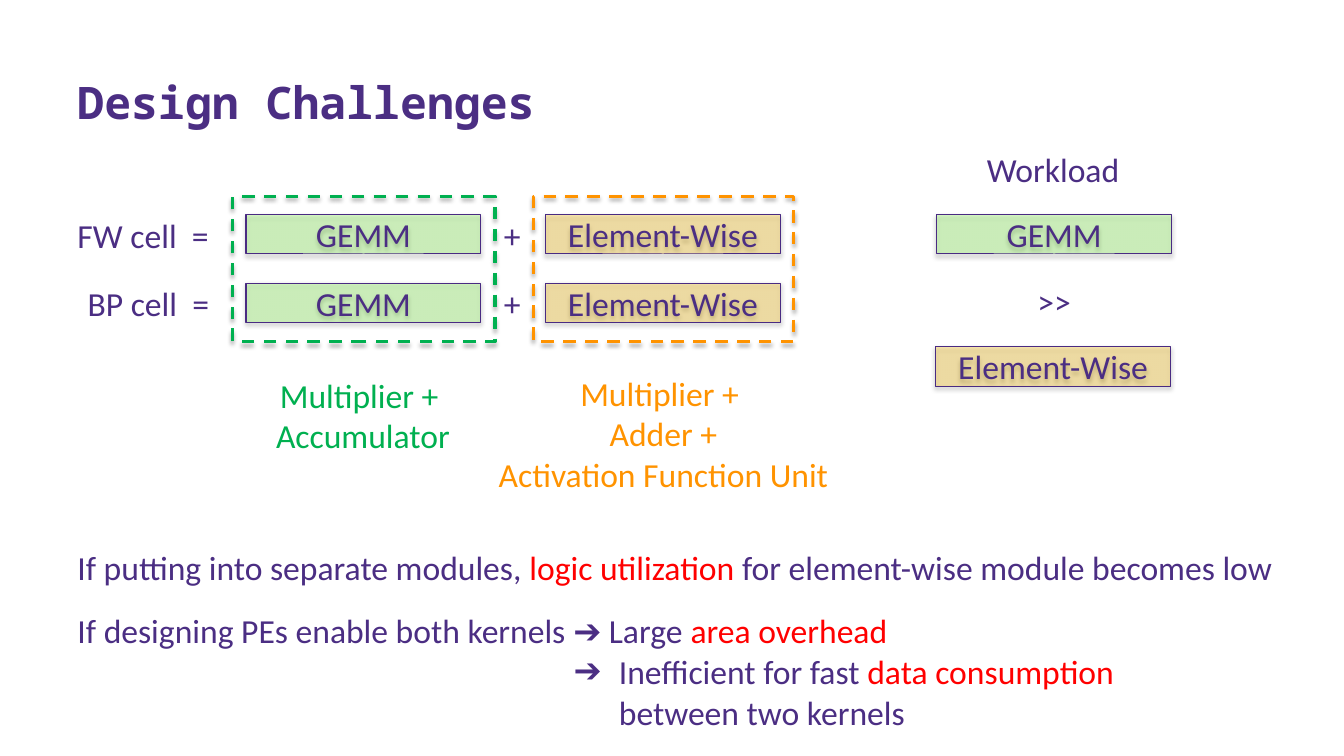
from lxml import etree
from pptx import Presentation
from pptx import util as u
from pptx.dml.color import RGBColor
from pptx.enum import dml, shapes, text
from pptx.oxml import ns

COLORS = {
    "purple": "4B2E83",
    "border": "492B82",
    "gemm": "8DFF55",
    "element": "FFC208",
    "green": "00B050",
    "orange": "FF9300",
    "red": "FF0000",
}
BODY_FONT = "Calibri"
TITLE_FONT = "Noto Sans Mono"
BAR_WIDTH, BAR_HEIGHT = 2.33, 0.39
BARS = {"GEMM": "gemm", "Element-Wise": "element"}


def color(name):
    return RGBColor.from_string(COLORS[name])


class SlideBuilder:
    def __init__(self, slide):
        self.slide = slide

    def add_runs(self, paragraph, runs, size=24, font=BODY_FONT, bold=False):
        for words, color_name in runs:
            run = paragraph.add_run()
            run.text = words
            run.font.size = u.Pt(size)
            run.font.name = font
            run.font.bold = bold
            run.font.color.rgb = color(color_name)

    def label(self, left, top, width, height, lines, centered=False):
        shape = self.slide.shapes.add_textbox(*map(u.Inches, (left, top, width, height)))
        frame = shape.text_frame
        frame.word_wrap = False
        frame.auto_size = text.MSO_AUTO_SIZE.SHAPE_TO_FIT_TEXT
        for index, runs in enumerate(lines):
            paragraph = frame.paragraphs[0] if index == 0 else frame.add_paragraph()
            if centered:
                paragraph.alignment = text.PP_ALIGN.CENTER
            self.add_runs(paragraph, runs)
        return frame

    def title(self, words):
        shape = self.slide.shapes.add_textbox(*map(u.Inches, (0.67, 0.55, 11.93, 0.77)))
        frame = shape.text_frame
        frame.word_wrap = True
        frame.vertical_anchor = text.MSO_ANCHOR.BOTTOM
        self.add_runs(frame.paragraphs[0], [(words, "purple")], 32, TITLE_FONT, True)

    def rectangle(self, left, top, width, height, line_color, line_width):
        shape = self.slide.shapes.add_shape(
            shapes.MSO_SHAPE.RECTANGLE, *map(u.Inches, (left, top, width, height))
        )
        shape.line.color.rgb = color(line_color)
        shape.line.width = u.Pt(line_width)
        shape.shadow.inherit = False
        effects = shape.element.spPr.find(ns.qn("a:effectLst"))
        shadow = etree.SubElement(
            effects, ns.qn("a:outerShdw"),
            blurRad="40000", dist="23000", dir="5400000", rotWithShape="0",
        )
        black = etree.SubElement(shadow, ns.qn("a:srgbClr"), val="000000")
        etree.SubElement(black, ns.qn("a:alpha"), val="35000")
        return shape

    def bar(self, left, top, name):
        shape = self.rectangle(left, top, BAR_WIDTH, BAR_HEIGHT, "border", 0.75)
        shape.fill.solid()
        shape.fill.fore_color.rgb = color(BARS[name])
        fill_color = shape.element.spPr.find(ns.qn("a:solidFill"))[0]
        etree.SubElement(fill_color, ns.qn("a:alpha"), val="30000")
        frame = shape.text_frame
        frame.vertical_anchor = text.MSO_ANCHOR.MIDDLE
        paragraph = frame.paragraphs[0]
        paragraph.alignment = text.PP_ALIGN.CENTER
        self.add_runs(paragraph, [(name, "purple")])

    def dashed_frame(self, left, width, line_color):
        shape = self.rectangle(left, 1.95, width, 1.44, line_color, 2.25)
        shape.fill.background()
        shape.line.dash_style = dml.MSO_LINE.DASH

    def hang(self, paragraph, margin, bullet=None):
        properties = paragraph._p.get_or_add_pPr()
        properties.set("marL", str(u.Inches(margin)))
        properties.set("indent", str(-u.Inches(margin) if bullet else 0))
        if bullet:
            etree.SubElement(properties, ns.qn("a:buFont"), typeface=BODY_FONT)
            etree.SubElement(properties, ns.qn("a:buChar"), char=bullet)


def main():
    presentation = Presentation()
    presentation.slide_width = u.Inches(13.33)
    presentation.slide_height = u.Inches(7.5)
    builder = SlideBuilder(presentation.slides.add_slide(presentation.slide_layouts[6]))

    builder.title("Design Challenges")

    cells = [("FW cell  =", 0.67, 1.51), ("BP cell  =", 0.77, 1.42)]
    for row, (name, left, width) in enumerate(cells):
        top = 2.08 + 0.68 * row
        builder.label(left, top, width, 0.5, [[(name, "purple")]])
        builder.bar(2.44, top + 0.05, "GEMM")
        builder.label(4.9, top, 0.37, 0.5, [[("+", "purple")]])
        builder.bar(5.41, top + 0.05, "Element-Wise")

    builder.dashed_frame(2.31, 2.6, "green")
    builder.label(2.63, 3.67, 1.94, 0.91, [
        [("Multiplier + ", "green")],
        [("Accumulator", "green")],
    ], centered=True)
    builder.dashed_frame(5.29, 2.58, "orange")
    builder.label(4.83, 3.65, 3.5, 1.31, [
        [("Multiplier + ", "orange")],
        [("Adder +", "orange")],
        [("Activation Function Unit", "orange")],
    ], centered=True)

    builder.label(9.69, 1.43, 1.53, 0.5, [[("Workload", "purple")]])
    builder.bar(9.29, 2.13, "GEMM")
    builder.label(10.19, 2.74, 0.54, 0.5, [[(">>", "purple")]])
    builder.bar(9.28, 3.44, "Element-Wise")

    builder.label(0.67, 5.38, 12.17, 0.5, [[
        ("If putting into separate modules, ", "purple"),
        ("logic utilization ", "red"),
        ("for element-wise module becomes low", "purple"),
    ]])
    builder.label(0.67, 6, 8.42, 0.5, [[
        ("If designing PEs enable both kernels ➔ Large ", "purple"),
        ("area overhead", "red"),
    ]])
    consequence = builder.label(5.59, 6.41, 5.86, 0.91, [
        [("Inefficient for fast ", "purple"), ("data consumption", "red")],
        [("between two kernels", "purple")],
    ])
    builder.hang(consequence.paragraphs[0], 0.45, "➔")
    builder.hang(consequence.paragraphs[1], 0.45)

    presentation.save("out.pptx")


if __name__ == "__main__":
    main()
